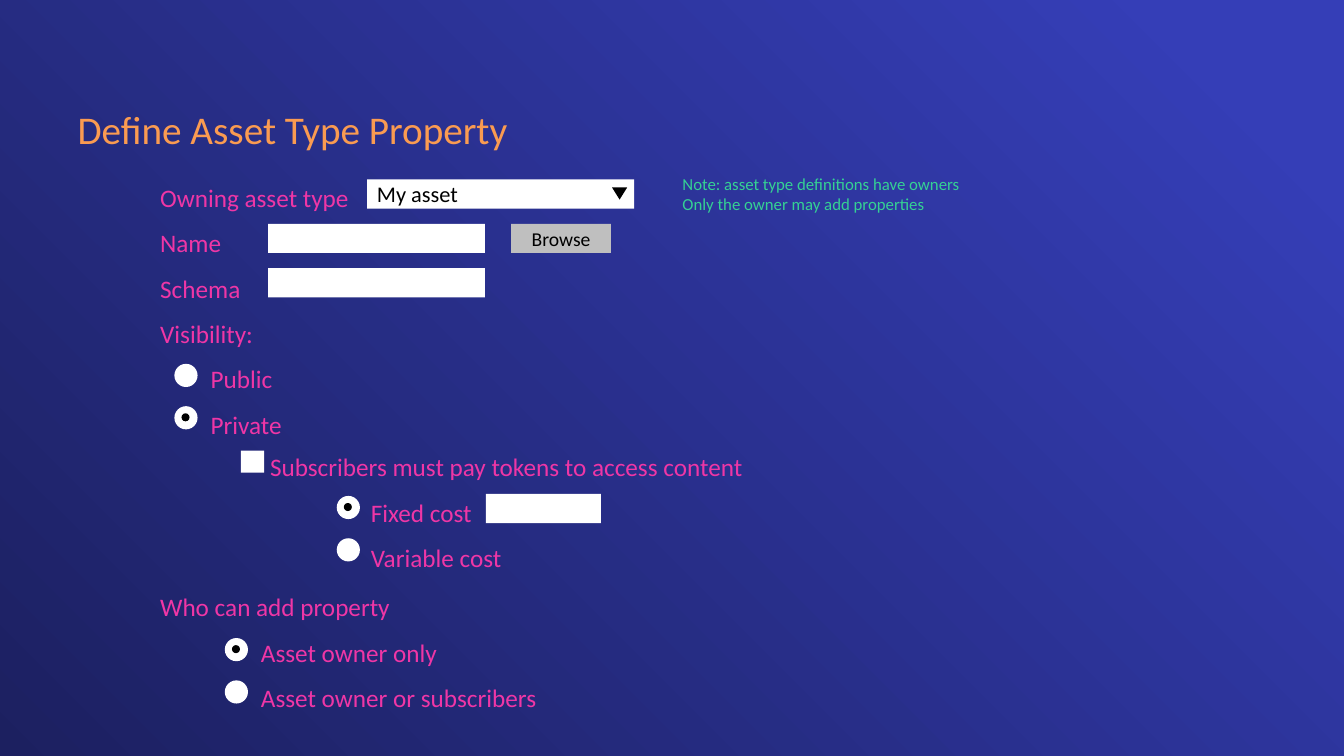
from dataclasses import dataclass

from pptx import Presentation
from pptx.dml.color import RGBColor
from pptx.enum.shapes import MSO_SHAPE
from pptx.enum.text import MSO_ANCHOR, MSO_AUTO_SIZE, PP_ALIGN
from pptx.util import Inches, Pt

RECTANGLE = MSO_SHAPE.RECTANGLE
OVAL = MSO_SHAPE.OVAL
TRIANGLE = MSO_SHAPE.ISOSCELES_TRIANGLE
MIDDLE = MSO_ANCHOR.MIDDLE
LEFT, CENTER = PP_ALIGN.LEFT, PP_ALIGN.CENTER
FIT_SHAPE = MSO_AUTO_SIZE.SHAPE_TO_FIT_TEXT
TITLE_ONLY = 5


@dataclass(frozen=True)
class Theme:
    font: str = "Calibri"
    light: str = "353EB7"
    dark: str = "1C2060"
    title: str = "FA9B51"
    label: str = "EF36A6"
    note: str = "35D194"
    field: str = "FFFFFF"
    button: str = "BFBFBF"
    ink: str = "000000"
    title_size: int = 28
    label_size: int = 18
    field_size: int = 16
    button_size: int = 14
    note_size: int = 12


@dataclass(frozen=True)
class Box:
    left: float
    top: float
    width: float
    height: float

    def inner(self, left, top, width, height):
        """Return a box whose offset is measured from this box's corner."""
        return Box(self.left + left, self.top + top, width, height)

    def lengths(self):
        return [Inches(n) for n in (self.left, self.top, self.width, self.height)]


THEME = Theme()


def add_span(para, text, size, color):
    span = para.add_run()
    span.text = text
    span.font.name = THEME.font
    span.font.size = Pt(size)
    span.font.color.rgb = RGBColor.from_string(color)


def add_block(page, box, kind, color):
    block = page.shapes.add_shape(kind, *box.lengths())
    block.shadow.inherit = False
    block.fill.solid()
    block.fill.fore_color.rgb = RGBColor.from_string(color)
    block.line.fill.background()
    return block


def add_field(page, box, text="", color=THEME.field, size=THEME.field_size, align=LEFT):
    field = add_block(page, box, RECTANGLE, color)
    if text:
        frame = field.text_frame
        frame.vertical_anchor = MIDDLE
        frame.paragraphs[0].alignment = align
        add_span(frame.paragraphs[0], text, size, THEME.ink)


def add_lines(page, box, lines, size, color, spacing=1.0):
    """Place one text box; each line is a pair of text and indent in inches."""
    frame = page.shapes.add_textbox(*box.lengths()).text_frame
    frame.word_wrap = False
    frame.auto_size = FIT_SHAPE
    for index, (text, indent) in enumerate(lines):
        para = frame.add_paragraph() if index else frame.paragraphs[0]
        para.line_spacing = spacing
        if indent:
            para._p.get_or_add_pPr().set("marL", str(Inches(indent)))
        add_span(para, text, size, color)


def add_labels(page, box, lines):
    add_lines(page, box, lines, THEME.label_size, THEME.label, 1.5)


def add_radio_pair(page, box, selected):
    for index in range(2):
        button = box.inner(0, 0.42 * index, 0.23, 0.23)
        add_block(page, button, OVAL, THEME.field)
        if index == selected:
            add_block(page, button.inner(0.07, 0.07, 0.08, 0.08), OVAL, THEME.ink)


def add_dropdown(page, box, text):
    add_field(page, box, text)
    arrow = add_block(page, box.inner(box.width - 0.22, 0.08, 0.15, 0.12), TRIANGLE, THEME.ink)
    arrow.rotation = 180


def paint_background(page):
    fill = page.background.fill
    fill.gradient()
    fill.gradient_angle = 225
    for stop, color, position in zip(
        fill.gradient_stops, (THEME.light, THEME.dark), (0.09, 1.0)
    ):
        stop.color.rgb = RGBColor.from_string(color)
        stop.position = position


def add_title(page, box, text):
    title = page.shapes.title
    title.left, title.top, title.width, title.height = box.lengths()
    frame = title.text_frame
    frame.word_wrap = False
    frame.vertical_anchor = MIDDLE
    frame.paragraphs[0].alignment = LEFT
    add_span(frame.paragraphs[0], text, THEME.title_size, THEME.title)


def add_property_form(page, box):
    add_labels(page, box, [
        ("Owning asset type", 0), ("Name", 0), ("Schema", 0), ("Visibility:", 0),
        ("Public", 0.5), ("Private", 0.5),
    ])
    add_dropdown(page, box.inner(2.15, 0.17, 2.65, 0.29), "My asset")
    for row in range(2):
        add_field(page, box.inner(1.17, 0.61 + 0.44 * row, 2.15, 0.29))
    add_field(page, box.inner(3.58, 0.61, 0.99, 0.29), "Browse",
              THEME.button, THEME.button_size, CENTER)
    add_radio_pair(page, box.inner(0.24, 2, 0.23, 0.65), selected=1)


def add_cost_options(page, box):
    add_labels(page, box, [
        ("Subscribers must pay tokens to access content", 0),
        ("Fixed cost", 1), ("Variable cost", 1),
    ])
    add_field(page, box.inner(-0.19, 0.19, 0.23, 0.22))
    add_field(page, box.inner(2.24, 0.62, 1.14, 0.29))
    add_radio_pair(page, box.inner(0.76, 0.64, 0.23, 0.65), selected=0)


def add_permission_options(page, box):
    add_labels(page, box, [
        ("Who can add property", 0),
        ("Asset owner only", 1), ("Asset owner or subscribers", 1),
    ])
    add_radio_pair(page, box.inner(0.74, 0.66, 0.23, 0.65), selected=0)


def add_note(page, box):
    add_lines(page, box, [
        ("Note: asset type definitions have owners", 0),
        ("Only the owner may add properties", 0),
    ], THEME.note_size, THEME.note)


def main():
    deck = Presentation()
    deck.slide_width, deck.slide_height = Inches(13.33), Inches(7.5)
    page = deck.slides.add_slide(deck.slide_layouts[TITLE_ONLY])
    paint_background(page)
    add_title(page, Box(0.67, 0.99, 4.51, 0.57), "Define Asset Type Property")
    add_property_form(page, Box(1.49, 1.61, 2.09, 2.78))
    add_cost_options(page, Box(2.58, 4.28, 5, 1.42))
    add_permission_options(page, Box(1.49, 5.67, 3.97, 1.42))
    add_note(page, Box(6.67, 1.67, 2.98, 0.5))
    deck.save("out.pptx")


if __name__ == "__main__":
    main()
